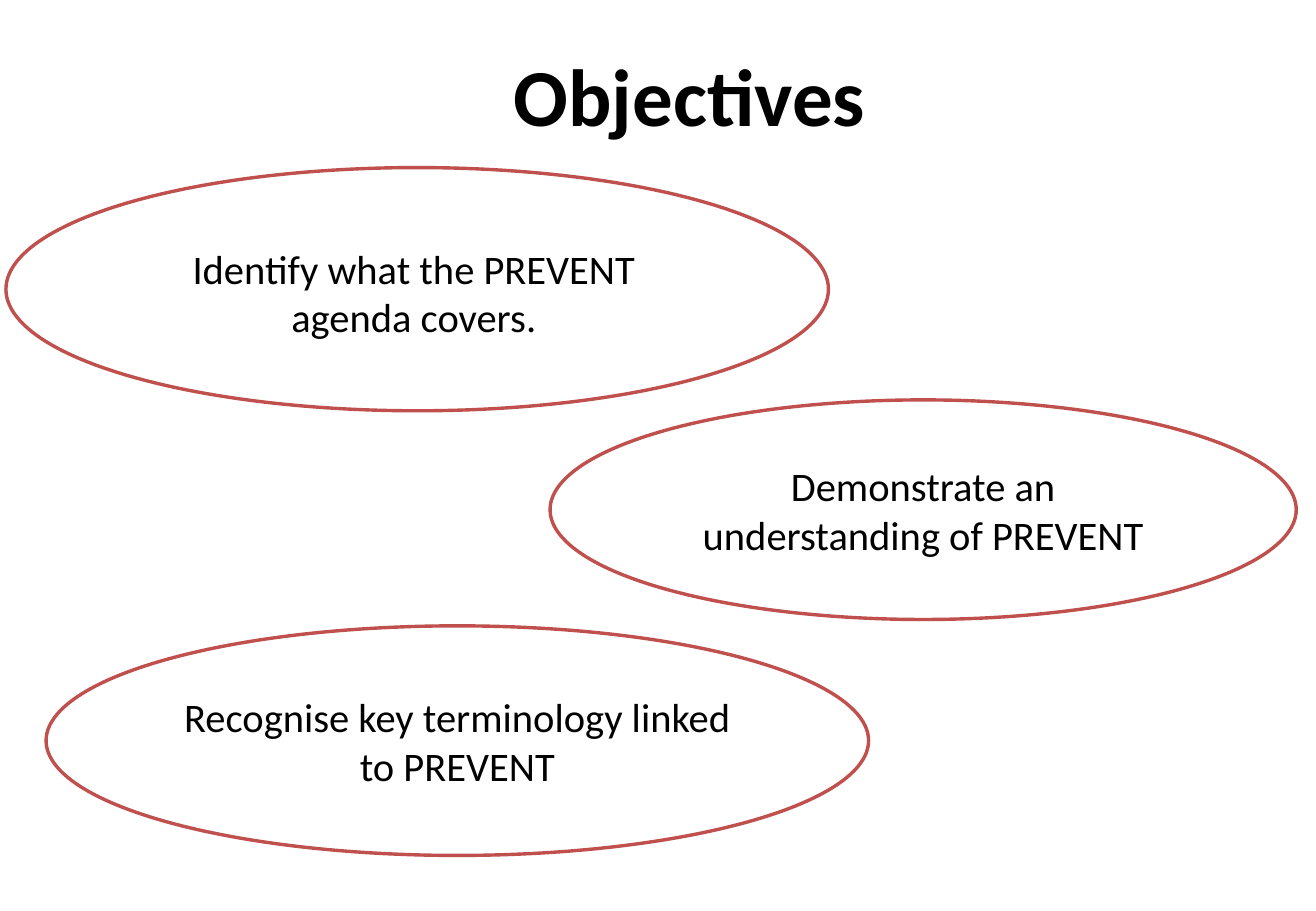
from pptx import Presentation
from pptx.dml.color import RGBColor
from pptx.enum.shapes import MSO_SHAPE
from pptx.enum.text import MSO_ANCHOR, PP_ALIGN
from pptx.util import Inches, Pt

# Content: boxes are left, top, width, height in percent of the slide
WIDTH, HEIGHT = Inches(10.83), Inches(7.5)
FONT, INK, PAPER, OUTLINE = "Calibri", "000000", "FFFFFF", "C0504D"

TITLE = ("Objectives", (7.4, 2, 90, 16.7))
AGENDA = ("Identify what the PREVENT agenda covers.", (10.5, 26.1, 41.9, 12.1))
OVALS = [
    ("", (0.45, 18.4, 62.5, 26.7)),  # holds the agenda text box
    ("Demonstrate an understanding of PREVENT", (41.8, 43.9, 56.7, 24.1)),
    ("Recognise key terminology linked to PREVENT", (3.5, 68.7, 62.5, 25.2)),
]


def color(value):
    return RGBColor.from_string(value)


def place(box):
    return [int(share * side / 100)
            for share, side in zip(box, (WIDTH, HEIGHT) * 2)]


def write(shape, text, size=24, bold=False, anchor=MSO_ANCHOR.MIDDLE):
    frame = shape.text_frame
    frame.word_wrap = True
    frame.vertical_anchor = anchor
    paragraph = frame.paragraphs[0]
    paragraph.alignment = PP_ALIGN.CENTER
    run = paragraph.add_run()
    run.text = text
    run.font.name = FONT
    run.font.size = Pt(size)
    run.font.bold = bold
    run.font.color.rgb = color(INK)


def add_oval(slide, text, box):
    oval = slide.shapes.add_shape(MSO_SHAPE.OVAL, *place(box))
    oval.shadow.inherit = False
    oval.fill.solid()
    oval.fill.fore_color.rgb = color(PAPER)
    oval.line.color.rgb = color(OUTLINE)
    oval.line.width = Pt(2)
    if text:
        write(oval, text)


def add_text(slide, text, box, **style):
    write(slide.shapes.add_textbox(*place(box)), text, **style)


def main():
    deck = Presentation()
    deck.slide_width, deck.slide_height = WIDTH, HEIGHT
    slide = deck.slides.add_slide(deck.slide_layouts[6])

    # Title
    add_text(slide, *TITLE, size=48, bold=True)

    # Objectives
    for text, box in OVALS:
        add_oval(slide, text, box)
    add_text(slide, *AGENDA, anchor=MSO_ANCHOR.TOP)

    deck.save("out.pptx")


if __name__ == "__main__":
    main()
